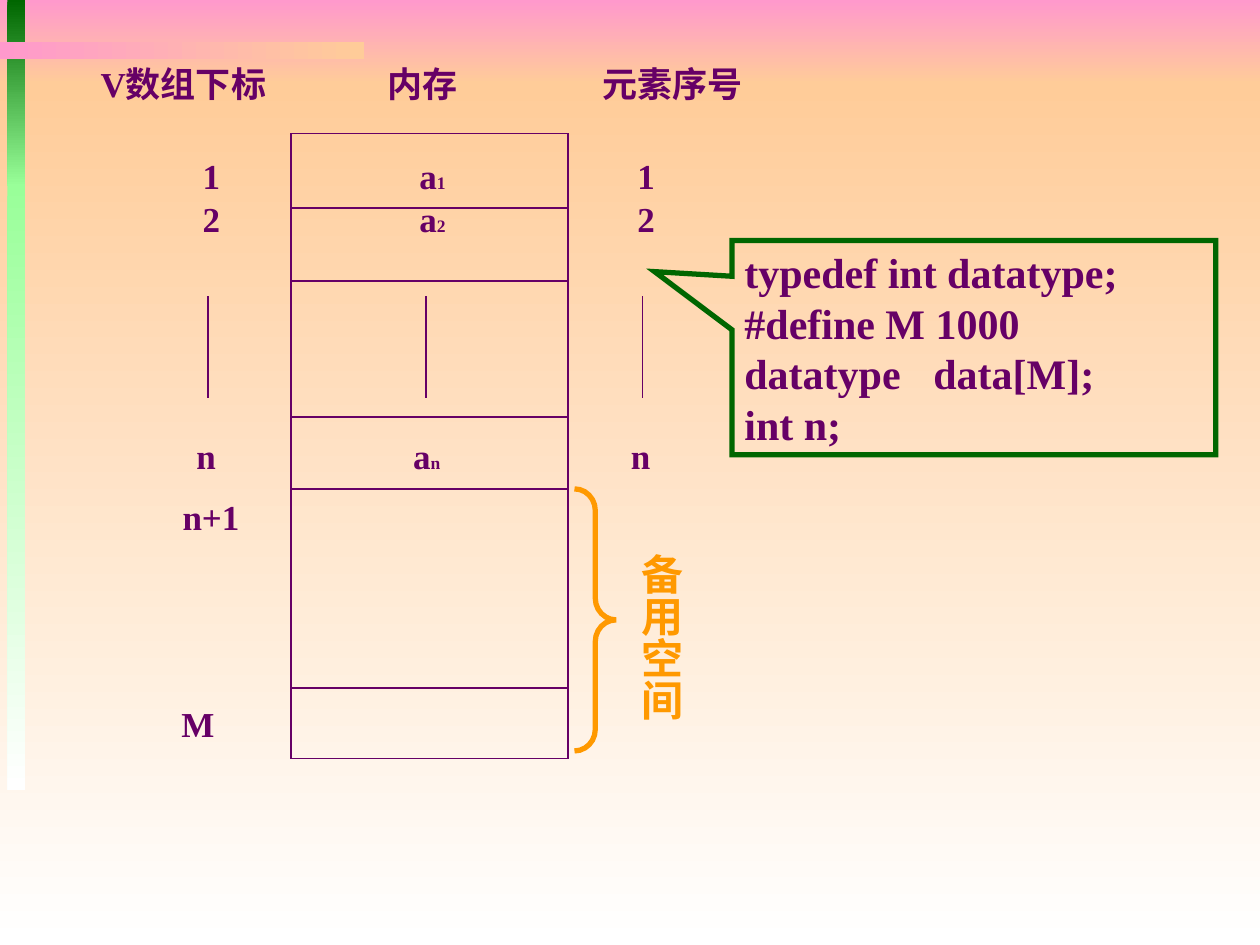
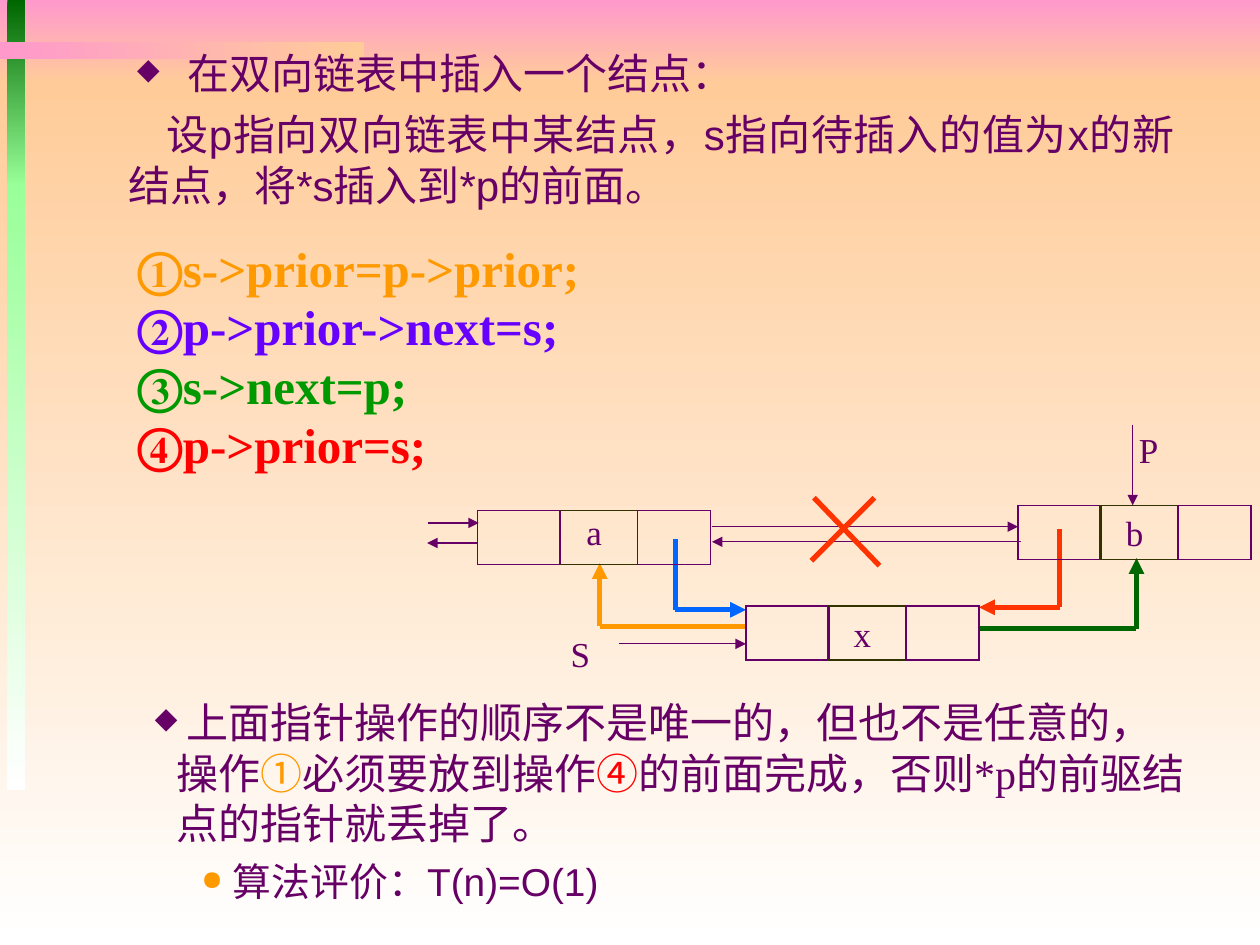
from itertools import pairwise

from lxml import etree
from pptx import Presentation
from pptx.dml.color import RGBColor
from pptx.enum.shapes import MSO_CONNECTOR, MSO_SHAPE
from pptx.enum.text import MSO_ANCHOR, MSO_AUTO_SIZE, PP_ALIGN
from pptx.oxml.ns import qn
from pptx.util import Inches, Pt

RECT = MSO_SHAPE.RECTANGLE
CALLOUT = MSO_SHAPE.RECTANGULAR_CALLOUT
BRACE = MSO_SHAPE.RIGHT_BRACE
STRAIGHT = MSO_CONNECTOR.STRAIGHT
TOP, MIDDLE = MSO_ANCHOR.TOP, MSO_ANCHOR.MIDDLE
LEFT, CENTER, JUSTIFY = PP_ALIGN.LEFT, PP_ALIGN.CENTER, PP_ALIGN.JUSTIFY
GROW, FIXED = MSO_AUTO_SIZE.SHAPE_TO_FIT_TEXT, MSO_AUTO_SIZE.NONE

SERIF, SANS = "Times New Roman", "Arial"
PURPLE, ORANGE, GREEN, RED = "660066", "FF9900", "006600", "FF3300"
BLUE, OLIVE, PINK, PEACH = "0066FF", "333300", "FF99CC", "FFCC99"
LIME, WHITE = "99FF99", "FFFFFF"
BANDS = [
    ((0, 0, 10, 0.67), PINK, PEACH, 270),
    ((0, 0.67, 10, 6.83), PEACH, WHITE, 270),
    ((0.06, 0, 0.14, 1.48), GREEN, LIME, 270),
    ((0.06, 1.46, 0.14, 4.81), LIME, WHITE, 270),
    ((0, 0.33, 2.89, 0.14), PINK, PEACH, 0),
]


def rgb(code):
    return RGBColor.from_string(code)


def span(at):
    return [Inches(part) for part in at]


def sub(parent, tag, **attrs):
    node = etree.SubElement(parent, qn(tag))
    for name, value in attrs.items():
        node.set(name, str(value))
    return node


def form(slide, kind, at, color=PURPLE, width=0.75):
    shape = slide.shapes.add_shape(kind, *span(at))
    shape.shadow.inherit = False
    shape.fill.background()
    shape.line.color.rgb = rgb(color)
    shape.line.width = Pt(width)
    sub(shape.element.spPr.ln, "a:miter", lim=800000)
    return shape


def indent(para, margin=0, first=0, bullet=None, tint=PURPLE, tab=None):
    props = para._p.get_or_add_pPr()
    props.set("marL", str(Inches(margin)))
    props.set("indent", str(Inches(first)))
    if bullet:
        sub(sub(props, "a:buClr"), "a:srgbClr", val=tint)
        sub(props, "a:buSzPct", val=70000)
        sub(props, "a:buChar", char=bullet)
    if tab:
        sub(sub(props, "a:tabLst"), "a:tab", pos=Inches(tab), algn="l")


def write(shape, lines, size=20, font=SERIF, color=PURPLE, bold=False,
          align=LEFT, anchor=TOP, wrap=True, fit=GROW, before=0, spacing=1,
          indents=(), pad=(0.1, 0.05), vert=None):
    frame = shape.text_frame
    frame.word_wrap, frame.auto_size = wrap, fit
    frame.vertical_anchor = anchor
    frame.margin_left = frame.margin_right = Inches(pad[0])
    frame.margin_top = frame.margin_bottom = Inches(pad[1])
    if vert:
        shape.element.txBody.bodyPr.set("vert", vert)
    for spot, line in enumerate(lines):
        para = frame.add_paragraph() if spot else frame.paragraphs[0]
        para.alignment = align
        para.space_before, para.line_spacing = Pt(before), spacing
        if spot < len(indents):
            indent(para, **indents[spot])
        for part in [(line, {})] if isinstance(line, str) else line:
            words, style = part
            run = para.add_run()
            run.text = words
            run.font.name, run.font.bold = font, bold
            run.font.size = Pt(style.get("size", size))
            run.font.color.rgb = rgb(style.get("color", color))


def note(slide, lines, at, **style):
    write(slide.shapes.add_textbox(*span(at)), lines, **style)


def mark(slide, words, left, top, width=0.35, **style):
    note(slide, [words], (left, top, width, 0.44), wrap=False, **style)


def chain(slide, points, color=PURPLE, width=0.75, arrow=False):
    for start, end in pairwise(points):
        link = slide.shapes.add_connector(STRAIGHT, *span(start + end))
        link.line.color.rgb = rgb(color)
        link.line.width = Pt(width)
        if arrow and end == points[-1]:
            sub(link.element.spPr.ln, "a:tailEnd", type="triangle")
        sub(link.element.spPr, "a:effectLst")


def dress(layout, slide):
    for holder in list(layout.placeholders):
        layout.shapes.element.remove(holder.element)
    bands = []
    for at, first, last, angle in BANDS:
        band = form(slide, RECT, at)
        band.line.fill.background()
        band.fill.gradient()
        band.fill.gradient_angle = angle
        for stop, color in zip(band.fill.gradient_stops, (first, last)):
            stop.color.rgb = rgb(color)
        bands.append(band)
    for band in bands:
        layout.shapes.element.append(band.element)


def cells(slide, left, top, label, lift):
    parts = [(0, 0.66, PURPLE), (0.65, 0.62, OLIVE), (1.27, 0.58, PURPLE)]
    for shift, width, color in parts:
        form(slide, RECT, (left + shift, top, width, 0.43), color)
    mark(slide, label, left + 0.75, top - lift, align=CENTER, anchor=MIDDLE)


def memory(slide):
    heads = [("内存", 2.98, 0.9), ("V数组下标", 0.7, 1.7),
             ("元素序号", 4.68, 1.45)]
    for words, left, width in heads:
        mark(slide, words, left, 0.45, width, bold=True)

    code = form(slide, CALLOUT, (5.81, 1.91, 3.84, 1.7), GREEN, 3)
    code.adjustments[0], code.adjustments[1] = -0.66, -0.355
    write(code, ["typedef int datatype;", "#define M 1000",
                 "datatype\tdata[M];", "int n;"],
          size=24, bold=True, anchor=MIDDLE,
          indents=[{}, {}, {"tab": 1.49}])

    form(slide, RECT, (2.31, 1.06, 2.2, 4.96))
    for level in (1.65, 2.23, 3.31, 3.88, 5.46):
        chain(slide, [(2.31, level), (4.51, level)])
    for left in (1.65, 3.38, 5.1):
        chain(slide, [(left, 2.35), (left, 3.16)])

    rows = [("1", 1.18, 0), ("2", 1.52, 0), ("n", 3.4, -0.05)]
    for index, top, shift in rows:
        for left in (1.51, 4.96):
            mark(slide, index, left + shift, top, 0.4, bold=True)
        item = [("a", {}), (index, {"size": 10})]
        mark(slide, item, 3.23 + shift, top, 0.55, bold=True)
    mark(slide, "n+1", 1.35, 3.88, 0.71, bold=True)
    mark(slide, "M", 1.34, 5.53, 0.55, bold=True)

    brace = form(slide, BRACE, (4.56, 3.88, 0.33, 2.08), ORANGE, 3)
    brace.adjustments[0] = 0.52
    note(slide, ["备用空间"], (4.9, 4.29, 0.6, 1.55), size=24, bold=True,
         color=ORANGE, pad=(0.05, 0.1), vert="eaVert")


def insert(slide):
    note(slide, ["在双向链表中插入一个结点：",
                 "设p指向双向链表中某结点，s指向待插入的值为x的新结点，"
                 "将*s插入到*p的前面。"],
         (0.92, 0.33, 8.5, 1.47), size=24, font=SANS, align=JUSTIFY,
         before=6, fit=FIXED,
         indents=[{"margin": 0.47, "first": -0.4, "bullet": "◆"},
                  {"first": 0.3}])

    turns = [
        (BLUE, [(5.36, 4.28), (5.36, 4.84), (5.92, 4.84)]),
        (ORANGE, [(5.92, 4.97), (4.76, 4.97), (4.76, 4.47)]),
        (GREEN, [(7.77, 4.99), (9.02, 4.99), (9.02, 4.43)]),
        (RED, [(8.41, 4.2), (8.41, 4.82), (7.77, 4.82)]),
    ]
    for color, points in turns:
        chain(slide, points, color, 3, arrow=True)

    for label, left, top, lift in [("x", 5.92, 4.81, 0),
                                   ("a", 3.79, 4.05, 0.05),
                                   ("b", 8.08, 4.01, 0)]:
        cells(slide, left, top, label, lift)
    for label, left, top in [("S", 4.43, 4.97), ("P", 8.94, 3.35)]:
        mark(slide, label, left, top, align=CENTER, anchor=MIDDLE)

    arrows = [
        [(4.91, 5.11), (5.92, 5.11)],
        [(3.4, 4.15), (3.8, 4.15)],
        [(3.79, 4.31), (3.39, 4.31)],
        [(5.65, 4.18), (8.08, 4.18)],
        [(8.1, 4.3), (5.65, 4.3)],
        [(8.99, 3.37), (8.99, 4.01)],
    ]
    for points in arrows:
        chain(slide, points, arrow=True)
    chain(slide, [(6.94, 3.95), (6.44, 4.45)], RED, 3)
    chain(slide, [(6.46, 3.95), (6.98, 4.49)], RED, 3)

    steps = [("①s->prior=p->prior;", ORANGE),
             ("②p->prior->next=s;", "6600FF"),
             ("③s->next=p;", "009900"),
             ("④p->prior=s;", "FF0000")]
    note(slide, [[(words, {"color": color})] for words, color in steps],
         (0.89, 1.84, 4.62, 1.97), size=28, bold=True,
         indents=[{"margin": 0.1}] * len(steps))

    order = [(" 上面指针操作的顺序不是唯一的，但也不是任意的，操作", {}),
             ("①", {"color": ORANGE}), ("必须要放到操作", {}),
             ("④", {"color": "FF0000"}),
             ("的前面完成，否则*p的前驱结点的指针就丢掉了。", {})]
    note(slide, [order], (1.07, 5.48, 8.45, 1.3), size=24,
         indents=[{"margin": 0.23, "first": -0.17, "bullet": "◆"}])
    note(slide, ["算法评价：T(n)=O(1)"], (0, 6.8, 9.3, 0.48), size=22.2,
         font=SANS, before=6, spacing=0.9, fit=FIXED,
         indents=[{"margin": 1.75, "first": -0.25, "bullet": "●",
                   "tint": ORANGE}])


def main():
    deck = Presentation()
    deck.slide_width, deck.slide_height = Inches(10), Inches(7.5)
    blank = deck.slide_layouts[6]
    first, second = [deck.slides.add_slide(blank) for _ in range(2)]
    dress(blank, first)
    memory(first)
    insert(second)
    deck.save("out.pptx")


if __name__ == "__main__":
    main()
